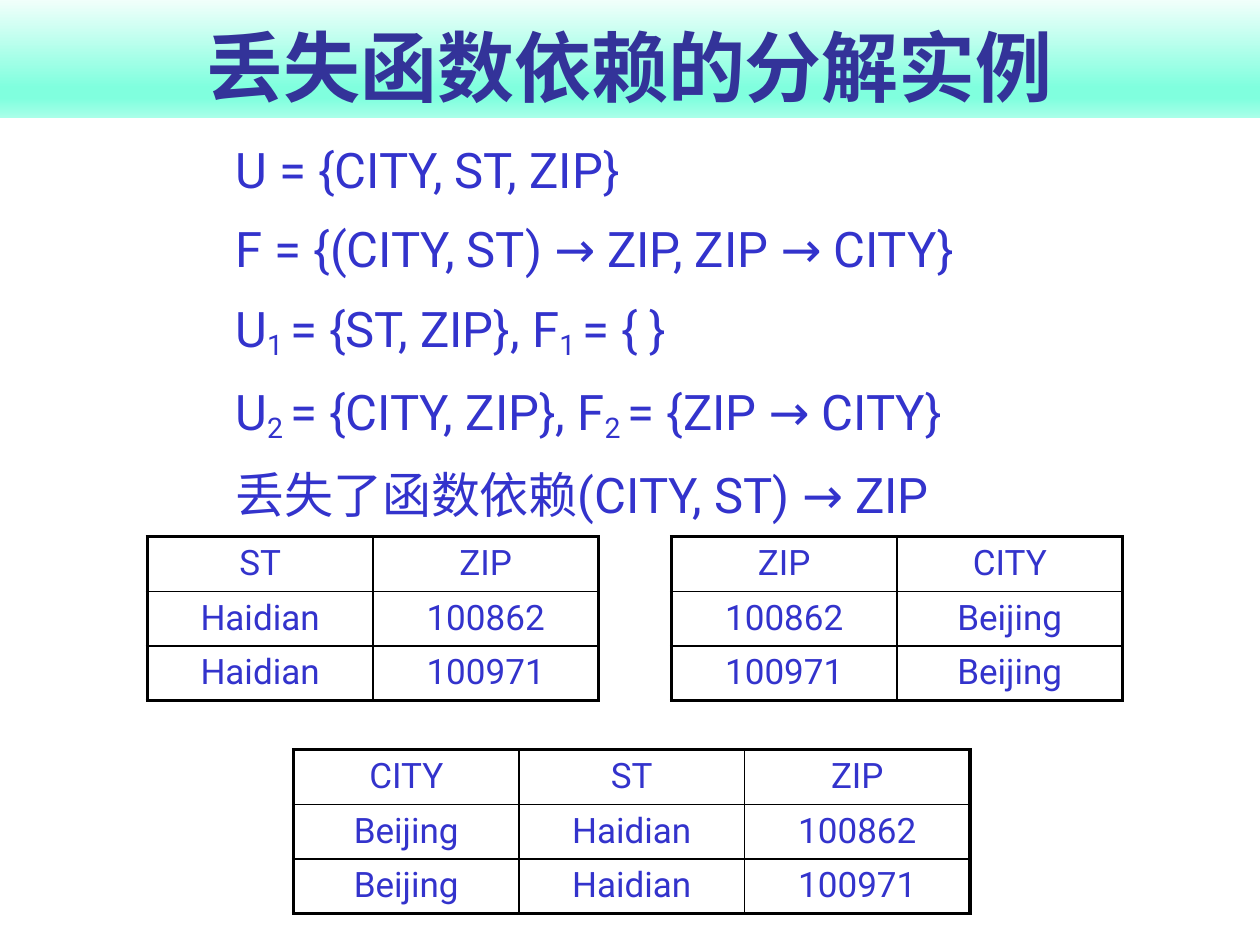
from copy import deepcopy

from lxml import etree
from pptx import Presentation
from pptx import util as u
from pptx.dml import color
from pptx.enum import shapes, text
from pptx.oxml import ns

COLORS = {"title": "333399", "body": "3333CC", "border": "000000"}
BANNER_STOPS = [(0, "F1FFFB"), (0.74, "80FFDE"), (0.83, "80FFDE"), (1, "AAFFE9")]
FONT = "Roboto"
COLUMN_WIDTH, ROW_HEIGHT = 1.79, 0.43
THICK, THIN = 2.25, 1

# Every second part of a line is a subscript.
FORMULAS = [
    ["U = {CITY, ST, ZIP}"],
    ["F = {(CITY, ST) → ZIP, ZIP → CITY}"],
    ["U", "1 ", "= {ST, ZIP}, F", "1 ", "= { }"],
    ["U", "2 ", "= {CITY, ZIP}, F", "2 ", "= {ZIP → CITY}"],
    ["丢失了函数依赖(CITY, ST) → ZIP"],
]
TABLES = [
    (1.17, 4.26, [["ST", "ZIP"], ["Haidian", "100862"], ["Haidian", "100971"]]),
    (5.33, 4.26, [["ZIP", "CITY"], ["100862", "Beijing"], ["100971", "Beijing"]]),
    (2.33, 5.95, [["CITY", "ST", "ZIP"],
                  ["Beijing", "Haidian", "100862"],
                  ["Beijing", "Haidian", "100971"]]),
]


def style_font(font, size, color_name, bold=False):
    font.name, font.size, font.bold = FONT, u.Pt(size), bold
    font.color.rgb = color.RGBColor.from_string(COLORS[color_name])


def fill_gradient(shape, stops):
    """Fill the shape from top to bottom with (position, colour) stops."""
    fill = shape.fill
    fill.gradient()
    fill.gradient_angle = 270
    stop_list = shape._element.spPr.find(ns.qn("a:gradFill")).find(ns.qn("a:gsLst"))
    while len(stop_list) < len(stops):
        stop_list.append(deepcopy(stop_list[0]))
    for stop, (position, hex_color) in zip(fill.gradient_stops, stops):
        stop.position = position
        stop.color.rgb = color.RGBColor.from_string(hex_color)


def add_banner(page, left, top, width, height):
    banner = page.shapes.add_shape(
        shapes.MSO_SHAPE.RECTANGLE,
        u.Inches(left), u.Inches(top), u.Inches(width), u.Inches(height))
    banner.shadow.inherit = False
    banner.line.fill.background()
    fill_gradient(banner, BANNER_STOPS)
    frame = banner.text_frame
    frame.word_wrap = True
    frame.vertical_anchor = text.MSO_ANCHOR.BOTTOM
    frame.text = "丢失函数依赖的分解实例"
    para = frame.paragraphs[0]
    para.alignment = text.PP_ALIGN.CENTER
    style_font(para.runs[0].font, 44, "title", bold=True)


def add_formulas(page, left, top, width, height):
    box = page.shapes.add_textbox(
        u.Inches(left), u.Inches(top), u.Inches(width), u.Inches(height))
    frame = box.text_frame
    frame.word_wrap = True
    for index, parts in enumerate(FORMULAS):
        para = frame.add_paragraph() if index else frame.paragraphs[0]
        para.alignment = text.PP_ALIGN.JUSTIFY
        para.line_spacing = 1.15
        para.space_before = u.Pt(6.5 if index else 0)
        properties = para._p.get_or_add_pPr()
        properties.set("marL", str(u.Inches(0.38)))
        properties.set("indent", str(u.Inches(-0.38)))
        for position, part in enumerate(parts):
            span = para.add_run()
            span.text = part
            style_font(span.font, 28, "body")
            if position % 2:
                span.font._element.set("baseline", "-16000")


def set_borders(cell, widths):
    """Draw the cell's borders; widths maps L, R, T, B to points."""
    properties = cell._tc.get_or_add_tcPr()
    for side, width in widths.items():
        line = etree.SubElement(properties, ns.qn(f"a:ln{side}"), w=str(u.Pt(width)))
        solid = etree.SubElement(line, ns.qn("a:solidFill"))
        etree.SubElement(solid, ns.qn("a:srgbClr"), val=COLORS["border"])


def add_relation(page, left, top, rows):
    """Place a relation as a table with a thick outer frame."""
    row_count, column_count = len(rows), len(rows[0])
    table = page.shapes.add_table(
        row_count, column_count, u.Inches(left), u.Inches(top),
        u.Inches(COLUMN_WIDTH * column_count), u.Inches(ROW_HEIGHT * row_count)).table
    table.first_row = table.horz_banding = False
    for column in table.columns:
        column.width = u.Inches(COLUMN_WIDTH)
    for r, row in enumerate(rows):
        table.rows[r].height = u.Inches(ROW_HEIGHT)
        for c, value in enumerate(row):
            cell = table.cell(r, c)
            cell.text_frame.text = value
            para = cell.text_frame.paragraphs[0]
            para.alignment = text.PP_ALIGN.CENTER
            style_font(para.runs[0].font, 20, "body")
            outer = {"L": c == 0, "R": c == column_count - 1,
                     "T": r == 0, "B": r == row_count - 1}
            set_borders(cell, {side: THICK if edge else THIN
                               for side, edge in outer.items()})
            cell.fill.background()


def main():
    deck = Presentation()
    deck.slide_width, deck.slide_height = u.Inches(10), u.Inches(7.5)
    page = deck.slides.add_slide(deck.slide_layouts[6])
    add_banner(page, 0, 0, 10, 0.94)
    add_formulas(page, 1.77, 0.99, 7.16, 3.07)
    for left, top, rows in TABLES:
        add_relation(page, left, top, rows)
    deck.save("out.pptx")


if __name__ == "__main__":
    main()
